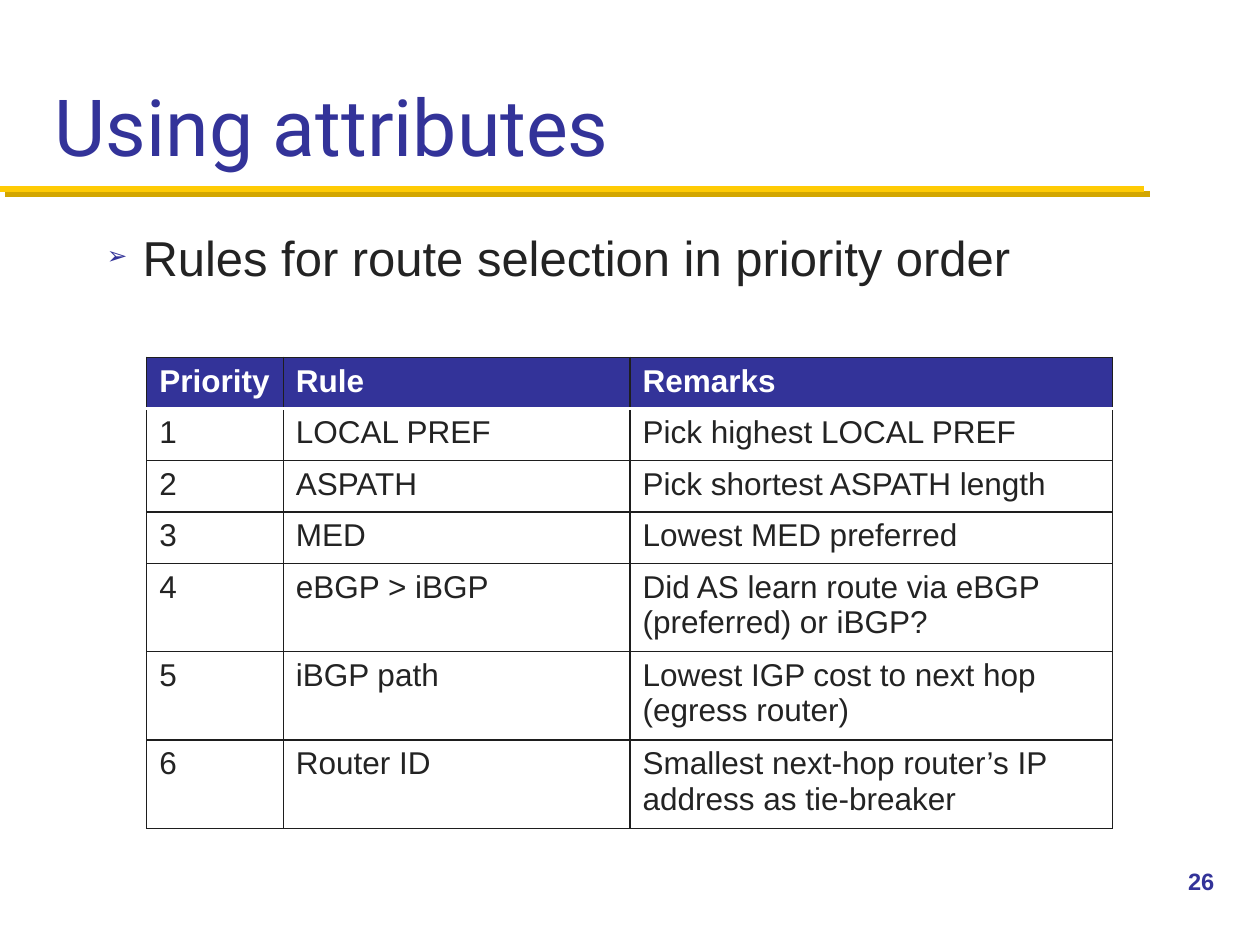
from dataclasses import dataclass

from lxml import etree
from pptx import Presentation
from pptx.dml.color import RGBColor
from pptx.enum import shapes, text
from pptx.oxml import ns
from pptx.util import Cm, Pt


@dataclass(frozen=True)
class Theme:
    navy: str = "333399"
    ink: str = "232323"
    grid: str = "1E1E1E"
    white: str = "FFFFFF"
    gold: str = "FFCB05"
    dark_gold: str = "D3A600"
    title_font: str = "Roboto"
    body_font: str = "Arial"
    title_size: float = 45
    body_size: float = 28
    table_size: float = 18
    number_size: float = 13.5


THEME = Theme()
COLUMN_WIDTHS = (2.75, 6.99, 9.73)
ROW_HEIGHT = 1.04
RULES = (
    ("Priority", "Rule", "Remarks"),
    ("1", "LOCAL PREF", "Pick highest LOCAL PREF"),
    ("2", "ASPATH", "Pick shortest ASPATH length"),
    ("3", "MED", "Lowest MED preferred"),
    ("4", "eBGP > iBGP", "Did AS learn route via eBGP (preferred) or iBGP?"),
    ("5", "iBGP path", "Lowest IGP cost to next hop (egress router)"),
    ("6", "Router ID", "Smallest next-hop router’s IP address as tie-breaker"),
)


def add_xml(parent, tag, **attributes):
    return etree.SubElement(parent, ns.qn(tag), attributes)


def place(box, left, top, width, height):
    box.left, box.top, box.width, box.height = map(Cm, (left, top, width, height))


def write(frame, words, *, size, color, font=THEME.body_font, bold=False):
    """Fill the frame with one left-aligned paragraph and return it."""
    frame.word_wrap = True
    para = frame.paragraphs[0]
    para.alignment = text.PP_ALIGN.LEFT
    span = para.add_run()
    span.text = words
    span.font.name = font
    span.font.size = Pt(size)
    span.font.bold = bold
    span.font.color.rgb = RGBColor.from_string(color)
    return para


def add_title(page, words):
    box = page.shapes.title
    place(box, 0.85, 0.42, 23.7, 3.18)
    frame = box.text_frame
    frame.auto_size = text.MSO_AUTO_SIZE.NONE
    frame.vertical_anchor = text.MSO_ANCHOR.BOTTOM
    write(frame, words, size=THEME.title_size, color=THEME.navy, font=THEME.title_font)


def add_bullet(page, words):
    box = page.placeholders[1]
    place(box, 1.9, 4.45, 22.02, 12.27)
    box.text_frame.auto_size = text.MSO_AUTO_SIZE.NONE
    para = write(box.text_frame, words, size=THEME.body_size, color=THEME.ink)
    layout = para._p.get_or_add_pPr()
    layout.set("marL", str(Cm(0.72)))
    layout.set("indent", str(Cm(-0.72)))
    add_xml(add_xml(layout, "a:buClr"), "a:srgbClr", val=THEME.navy)
    add_xml(layout, "a:buSzPct", val="50000")
    add_xml(layout, "a:buChar", char="➢")


def add_rule_line(page):
    """Draw the gold line under the title with its hard shadow."""
    line = page.shapes.add_connector(
        shapes.MSO_CONNECTOR.STRAIGHT, Cm(0), Cm(3.81), Cm(23.07), Cm(3.81))
    line.line.color.rgb = RGBColor.from_string(THEME.gold)
    line.line.width = Pt(3.5)
    effects = add_xml(line._element.spPr, "a:effectLst")
    shadow = add_xml(effects, "a:outerShdw", dist=str(Pt(4.2)), dir="2700000",
                     algn="ctr", rotWithShape="0")
    add_xml(shadow, "a:srgbClr", val=THEME.dark_gold)


def add_page_number(page, number):
    box = page.shapes.add_textbox(Cm(23.7), Cm(17.35), Cm(1.7), Cm(1.27))
    write(box.text_frame, number, size=THEME.number_size, color=THEME.navy, bold=True)


def set_borders(cell, **sides):
    """Set (colour, points) for the sides L, R, T and B, in that order."""
    properties = cell._tc.get_or_add_tcPr()
    for side, (color, width) in sides.items():
        border = add_xml(properties, f"a:ln{side}", w=str(Pt(width)))
        add_xml(add_xml(border, "a:solidFill"), "a:srgbClr", val=color)


def add_rules_table(page, rows):
    table = page.shapes.add_table(
        len(rows), len(COLUMN_WIDTHS), Cm(2.96), Cm(7.2),
        Cm(sum(COLUMN_WIDTHS)), Cm(ROW_HEIGHT * len(rows))).table
    table.horz_banding = False
    for column, width in zip(table.columns, COLUMN_WIDTHS):
        column.width = Cm(width)
    thin, divider = (THEME.grid, 0.75), (THEME.white, 2)
    for r, row in enumerate(rows):
        table.rows[r].height = Cm(ROW_HEIGHT)
        header = r == 0
        for c, words in enumerate(row):
            cell = table.cell(r, c)
            set_borders(cell, L=thin, R=thin, T=divider if r == 1 else thin,
                        B=divider if header else thin)
            cell.fill.solid()
            cell.fill.fore_color.rgb = RGBColor.from_string(
                THEME.navy if header else THEME.white)
            write(cell.text_frame, words, size=THEME.table_size, bold=header,
                  color=THEME.white if header else THEME.ink)


def main():
    deck = Presentation()
    deck.slide_width, deck.slide_height = Cm(25.4), Cm(19.05)
    page = deck.slides.add_slide(deck.slide_layouts[1])
    add_rule_line(page)
    add_title(page, "Using attributes")
    add_bullet(page, "Rules for route selection in priority order")
    add_page_number(page, "26")
    add_rules_table(page, RULES)
    deck.save("out.pptx")


if __name__ == "__main__":
    main()
